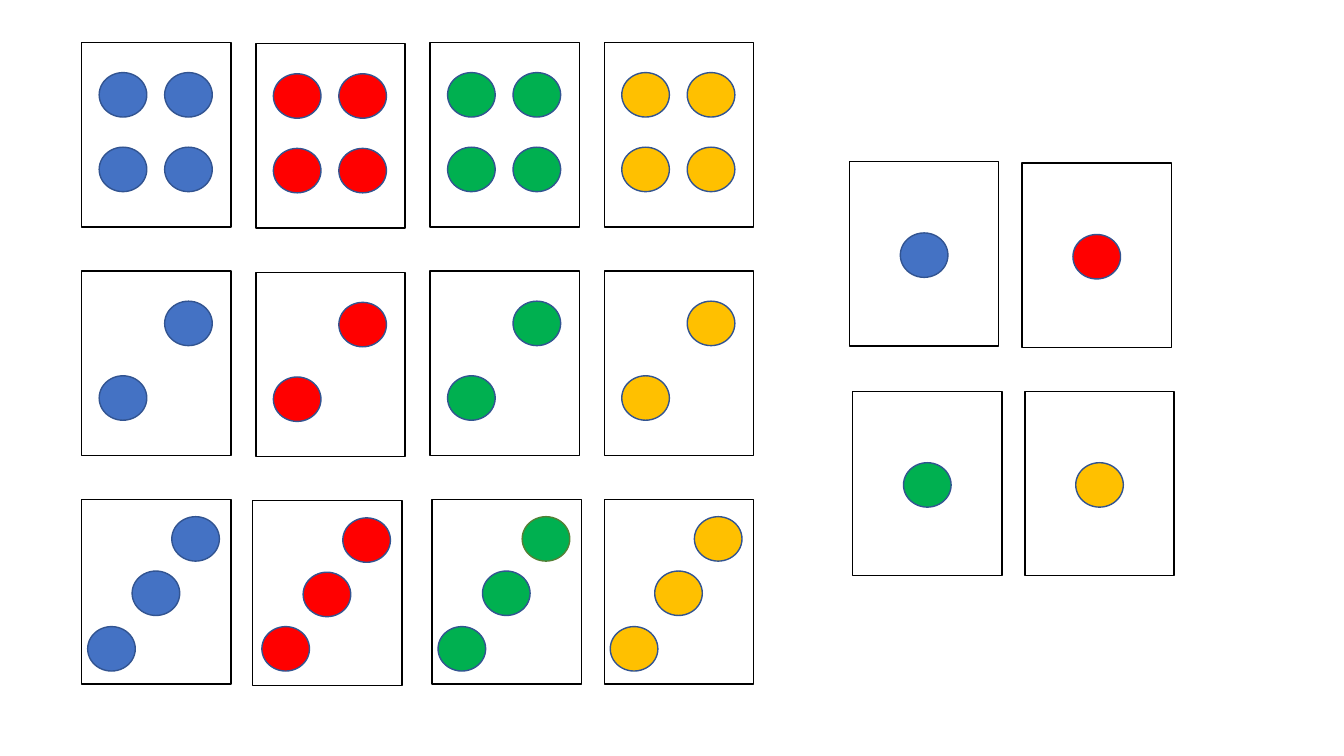
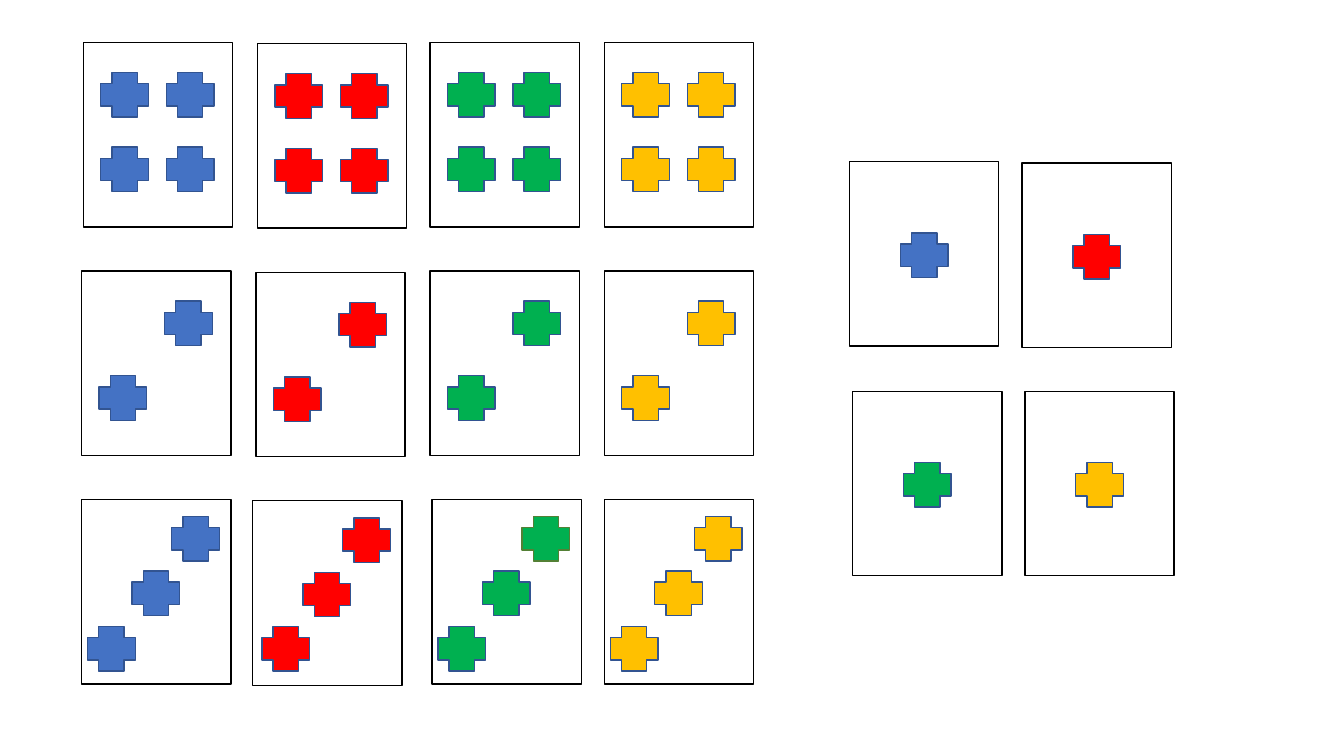
from pptx import Presentation
from pptx.dml.color import RGBColor
from pptx.enum.dml import MSO_LINE
from pptx.enum.shapes import MSO_SHAPE as Preset
from pptx.util import Cm, Pt

# Colours
BLUE, RED, GREEN, YELLOW = SUITS = ("4472C4", "FF0000", "00B050", "FFC000")
WHITE, BLACK, NAVY, OLIVE = "FFFFFF", "000000", "325491", "538035"

# Card grid and symbol sizes, in centimetres
CARD_SIZE = (3.76, 4.65)
SYMBOL_SIZE = (1.2, 1.12)
GRID_LEFT, GRID_TOP = 2.06, 1.07
COLUMN_STEP, ROW_STEP = 4.39, 5.76
RED_DROP = 0.03

# Symbol offsets from the card corner, one pattern per grid row
LEFT, RIGHT, UPPER, LOWER = 0.44, 2.09, 0.76, 2.64
FOUR = [(x, y) for y in (UPPER, LOWER) for x in (LEFT, RIGHT)]
TWO = [(RIGHT, UPPER), (LEFT, LOWER)]
THREE = [(2.27, 0.43), (0.15, 3.2), (1.27, 1.8)]
THREE_RED = [THREE[0], (0.23, 3.17), THREE[2]]
ONE = [(1.28, 1.8)]
ROWS = (FOUR, TWO, THREE)

# Sideways shifts of the cards in the bottom row
BOTTOM_SHIFTS = {RED: -0.08, GREEN: 0.05}

# Single-symbol cards on the right
SINGLES = {
    BLUE: (21.41, 4.07),
    RED: (25.76, 4.11),
    GREEN: (21.49, 9.86),
    YELLOW: (25.83, 9.86),
}


def colour(value):
    return RGBColor.from_string(value)


class CardDeck:
    """Holds the card style and the current page."""

    line_format = {"width": Pt(1), "dash_style": MSO_LINE.SOLID}

    def __init__(self):
        self.deck = Presentation()
        self.deck.slide_width, self.deck.slide_height = Cm(33.87), Cm(19.05)
        self.page = None

    def add_page(self):
        self.page = self.deck.slides.add_slide(self.deck.slide_layouts[6])

    def add_shape(self, group, preset, position, size, fill, line):
        lengths = [Cm(value) for value in (*position, *size)]
        shape = group.shapes.add_shape(preset, *lengths)
        shape.shadow.inherit = False
        shape.fill.solid()
        shape.fill.fore_color.rgb = colour(fill)
        shape.line.color.rgb = colour(line)
        for name, value in self.line_format.items():
            setattr(shape.line, name, value)

    def add_card(self, symbol, suit, left, top, pattern):
        group = self.page.shapes.add_group_shape()
        self.add_shape(group, Preset.RECTANGLE, (left, top), CARD_SIZE, WHITE, BLACK)
        for index, (x, y) in enumerate(pattern):
            olive_edge = suit == GREEN and pattern is THREE and index == 0
            self.add_shape(group, symbol, (left + x, top + y), SYMBOL_SIZE,
                           suit, OLIVE if olive_edge else NAVY)

    def add_grid(self, symbol, top_shifts):
        for row, pattern in enumerate(ROWS):
            shifts = (top_shifts, {}, BOTTOM_SHIFTS)[row]
            for column, suit in enumerate(SUITS):
                left = GRID_LEFT + column * COLUMN_STEP + shifts.get(suit, 0)
                top = GRID_TOP + row * ROW_STEP + (RED_DROP if suit == RED else 0)
                red_three = suit == RED and pattern is THREE
                self.add_card(symbol, suit, left, top,
                              THREE_RED if red_three else pattern)

    def add_singles(self, symbol):
        for suit, (left, top) in SINGLES.items():
            self.add_card(symbol, suit, left, top, ONE)


def main():
    cards = CardDeck()
    # One page per symbol, with the shifts of its top row
    pages = ((Preset.OVAL, {}), (Preset.CROSS, {BLUE: 0.04, RED: 0.04}))
    for symbol, top_shifts in pages:
        cards.add_page()
        cards.add_grid(symbol, top_shifts)
        cards.add_singles(symbol)
    cards.deck.save("out.pptx")


if __name__ == "__main__":
    main()
